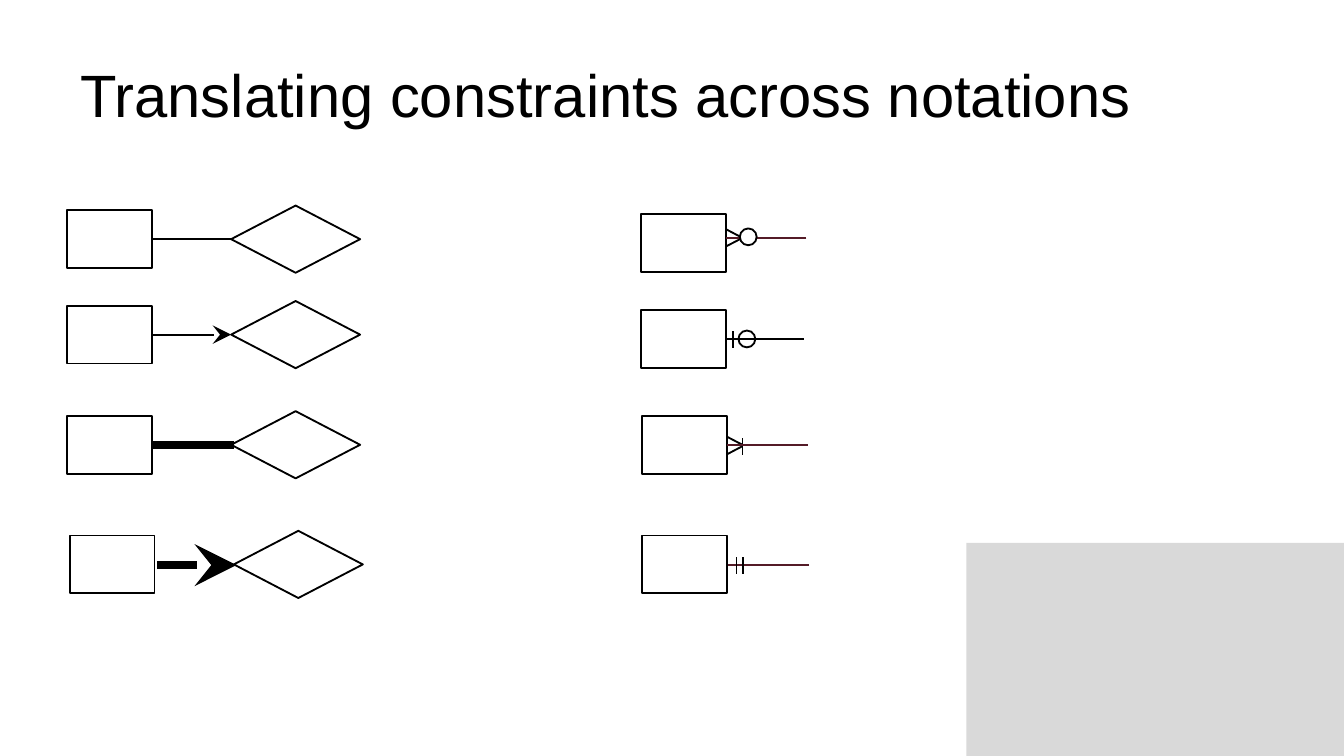
from lxml.etree import SubElement
from pptx import Presentation
from pptx.dml.color import RGBColor
from pptx.enum.shapes import MSO_CONNECTOR, MSO_SHAPE
from pptx.enum.text import MSO_ANCHOR, PP_ALIGN
from pptx.oxml.ns import qn
from pptx.util import Pt

PX = 4572
BLACK = RGBColor(0x00, 0x00, 0x00)
WHITE = RGBColor(0xFF, 0xFF, 0xFF)
GREY = RGBColor(0xD9, 0xD9, 0xD9)
MAROON = RGBColor(0x54, 0x1B, 0x27)

LEFT_SIDE, RIGHT_SIDE = 1, 3
ENTITY_SIZE = (126, 86)
RELATIONSHIP_SIZE = (192, 100)
RING = 25
TITLE_FRAME = {"word_wrap": True, "vertical_anchor": MSO_ANCHOR.MIDDLE}
TITLE_FONT = {"name": "Arial", "size": Pt(32), "bold": False}

# (entity left, entity top, line start, line end, line y, width, arrow, joined sides)
CHEN_ROWS = [
    (100, 313, 226, 344, 356, 1, False, "both"),
    (100, 455, 226, 344, 498, 1, True, "both"),
    (100, 619, 226, 348, 662, 4.5, False, "entity"),
    (104, 797, 234, 352, 841, 4.5, True, "none"),
]


def set_all(target, values):
    for name, value in values.items():
        setattr(target, name, value)


def add_outline(slide, preset, left, top, width, height, fill=None, line=BLACK):
    outline = slide.shapes.add_shape(
        preset, *(v * PX for v in (left, top, width, height)))
    outline.shadow.inherit = False
    if fill is None:
        outline.fill.background()
    else:
        outline.fill.solid()
        outline.fill.fore_color.rgb = fill
    if line is None:
        outline.line.fill.background()
    else:
        outline.line.color.rgb = line
        outline.line.width = Pt(1)
    return outline


def add_line(slide, x1, y1, x2, y2, color=BLACK, width=1, arrow=False):
    line = slide.shapes.add_connector(
        MSO_CONNECTOR.STRAIGHT, *(v * PX for v in (x1, y1, x2, y2)))
    line.line.color.rgb = color
    line.line.width = Pt(width)
    if arrow:
        SubElement(line.line._get_or_add_ln(), qn("a:tailEnd"),
                   type="stealth", w="lg", len="lg")
    SubElement(line._element.spPr, qn("a:effectLst"))
    return line


def add_entity(slide, left, top):
    return add_outline(slide, MSO_SHAPE.RECTANGLE, left, top, *ENTITY_SIZE)


def add_ring(slide, left, top):
    add_outline(slide, MSO_SHAPE.OVAL, left, top, RING, RING, WHITE)


def add_bar(slide, x, top):
    add_line(slide, x, top, x, top + 25)


def add_crows_foot(slide, left, top):
    add_line(slide, left, top, left + 23, top + 12)
    add_line(slide, left, top + 26, left + 23, top + 14)


def add_title(slide, text):
    title = slide.shapes.add_textbox(*(v * PX for v in (100, 46, 1800, 188)))
    set_all(title.text_frame, TITLE_FRAME)
    paragraph = title.text_frame.paragraphs[0]
    paragraph.alignment = PP_ALIGN.LEFT
    run = paragraph.add_run()
    run.text = text
    set_all(run.font, TITLE_FONT)
    run.font.color.rgb = BLACK


def add_chen_row(slide, left, top, start, end, y, width, arrow, joined):
    entity = add_entity(slide, left, top)
    relationship = add_outline(
        slide, MSO_SHAPE.DIAMOND, left + 244, top - 7, *RELATIONSHIP_SIZE)
    link = add_line(slide, start, y, end, y, width=width, arrow=arrow)
    if joined != "none":
        link.begin_connect(entity, RIGHT_SIDE)
    if joined == "both":
        link.end_connect(relationship, LEFT_SIDE)


def add_zero_or_many(slide):
    add_entity(slide, 954, 319)
    add_crows_foot(slide, 1080, 341)
    add_line(slide, 1200, 354, 1080, 354, MAROON)
    add_ring(slide, 1101, 340)


def add_zero_or_one(slide):
    entity = add_entity(slide, 954, 462)
    add_ring(slide, 1099, 492)
    add_line(slide, 1080, 505, 1196, 505).begin_connect(entity, RIGHT_SIDE)
    add_bar(slide, 1091, 493)


def add_one_or_many(slide):
    entity = add_entity(slide, 956, 619)
    add_bar(slide, 1105, 652)
    add_crows_foot(slide, 1082, 650)
    add_line(slide, 1202, 662, 1082, 662, MAROON).end_connect(entity, RIGHT_SIDE)


def add_exactly_one(slide):
    add_entity(slide, 956, 797)
    add_line(slide, 1204, 841, 1083, 841, MAROON)
    for x in (1096, 1106):
        add_bar(slide, x, 829)


def main():
    deck = Presentation()
    set_all(deck, {"slide_width": 2000 * PX, "slide_height": 1125 * PX})
    slide = deck.slides.add_slide(deck.slide_layouts[6])
    add_outline(slide, MSO_SHAPE.RECTANGLE, 1438, 808, 562, 317, GREY, None)
    add_title(slide, "Translating constraints across notations")
    for row in CHEN_ROWS:
        add_chen_row(slide, *row)
    for add_crows_foot_row in (
            add_zero_or_many, add_zero_or_one, add_one_or_many, add_exactly_one):
        add_crows_foot_row(slide)
    deck.save("out.pptx")


if __name__ == "__main__":
    main()
